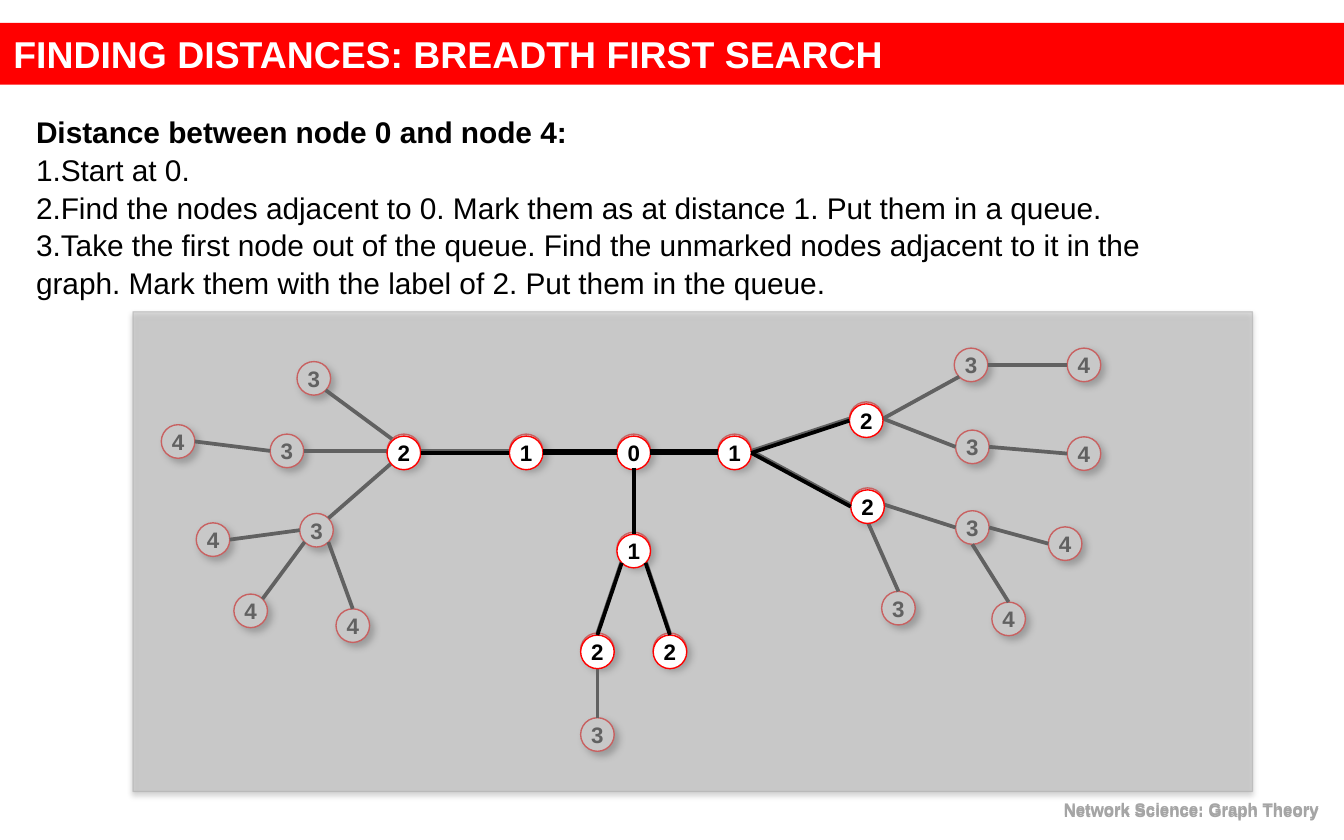
from dataclasses import dataclass
from math import cos, radians, sin

from lxml import etree
from pptx import Presentation
from pptx.dml.color import RGBColor
from pptx.enum.shapes import MSO_CONNECTOR, MSO_SHAPE
from pptx.enum.text import MSO_ANCHOR, PP_ALIGN
from pptx.oxml.ns import qn
from pptx.util import Emu, Inches, Pt

ELLIPSE, RECTANGLE = MSO_SHAPE.OVAL, MSO_SHAPE.RECTANGLE
STRAIGHT = MSO_CONNECTOR.STRAIGHT
LEFT_ALIGN, CENTER, RIGHT_ALIGN = PP_ALIGN.LEFT, PP_ALIGN.CENTER, PP_ALIGN.RIGHT
MIDDLE = MSO_ANCHOR.MIDDLE

RED = RGBColor(0xFF, 0x00, 0x00)
WHITE = RGBColor(0xFF, 0xFF, 0xFF)
BLACK = RGBColor(0x00, 0x00, 0x00)
VEIL_GRAY = RGBColor(0xBF, 0xBF, 0xBF)
MID_GRAY = RGBColor(0xA5, 0xA5, 0xA5)

WIDTH, HEIGHT = Inches(10), Inches(6.25)
COLUMNS, ROWS = 1000, 625
DIAMETER = 25
TOP, TOP_LEFT, LEFT, BOTTOM_LEFT, BOTTOM, BOTTOM_RIGHT, RIGHT, TOP_RIGHT = range(8)


@dataclass(frozen=True)
class Node:
    distance: int
    column: float
    row: float
    parent: str = ""
    parent_site: int = TOP
    own_site: int = TOP


@dataclass(frozen=True)
class Shadow:
    opacity: int
    blur: float
    offset: float
    angle: int


NODE_SHADOW = Shadow(43, 4, 3, 45)
VEIL_SHADOW = Shadow(35, 3.1, 1.8, 90)

TREE = {
    "root": Node(0, 459, 323),
    "east": Node(1, 534, 323, "root", RIGHT, LEFT),
    "west": Node(1, 379, 323, "root", LEFT, RIGHT),
    "south": Node(1, 459, 396, "root", BOTTOM, TOP),
    "east upper": Node(2, 632, 299, "east", RIGHT, LEFT),
    "east lower": Node(2, 633, 363, "east", RIGHT, LEFT),
    "south right": Node(2, 486, 471, "south", BOTTOM_RIGHT, TOP),
    "south left": Node(2, 432, 471, "south", BOTTOM_LEFT, TOP),
    "west hub": Node(2, 288, 323, "west", LEFT, RIGHT),
    "east first": Node(3, 710, 259, "east upper", RIGHT, BOTTOM_LEFT),
    "east second": Node(3, 711, 320, "east upper", RIGHT, LEFT),
    "east third": Node(3, 711, 380, "east lower", RIGHT, LEFT),
    "east fourth": Node(3, 656, 440, "east lower", BOTTOM, TOP),
    "west first": Node(3, 221, 269, "west hub", TOP_LEFT, BOTTOM_RIGHT),
    "west second": Node(3, 201, 323, "west hub", LEFT, RIGHT),
    "west third": Node(3, 223, 382, "west hub", BOTTOM_LEFT, TOP_RIGHT),
    "south end": Node(3, 432, 534, "south left", BOTTOM, TOP),
    "west leaf one": Node(4, 250, 453, "west third", BOTTOM_RIGHT, TOP),
    "west leaf two": Node(4, 174, 442, "west third", BOTTOM_LEFT, TOP_RIGHT),
    "west leaf three": Node(4, 146, 389, "west third", LEFT, RIGHT),
    "west leaf four": Node(4, 120, 316, "west second", LEFT, RIGHT),
    "east leaf one": Node(4, 780, 392, "east third", RIGHT, LEFT),
    "east leaf two": Node(4, 738, 448, "east third", BOTTOM, TOP),
    "east leaf three": Node(4, 794, 325, "east second", RIGHT, LEFT),
    "east leaf four": Node(4, 794, 259, "east first", RIGHT, LEFT),
}

STEPS = [
    "Start at 0.",
    "Find the nodes adjacent to 0. Mark them as at distance 1. Put them in a queue.",
    "Take the first node out of the queue. Find the unmarked nodes adjacent to it in "
    "the graph. Mark them with the label of 2. Put them in the queue.",
]


def place(*cells: float) -> list[Emu]:
    units = (WIDTH / COLUMNS, HEIGHT / ROWS)
    return [Emu(round(cell * units[index % 2])) for index, cell in enumerate(cells)]


def style(para, size: float, color: RGBColor, bold: bool = True, align=LEFT_ALIGN) -> None:
    para.alignment = align
    values = {"name": "Arial", "size": Pt(size), "bold": bold}
    for span in para.runs:
        for name, value in values.items():
            setattr(span.font, name, value)
        span.font.color.rgb = color


def set_margins(frame, horizontal: float, vertical: float) -> None:
    values = {"margin_left": horizontal, "margin_right": horizontal,
              "margin_top": vertical, "margin_bottom": vertical}
    for name, value in values.items():
        setattr(frame, name, Inches(value))


def add_alpha(color_element, percent: int) -> None:
    etree.SubElement(color_element, qn("a:alpha"), val=str(percent * 1000))


def add_shadow(shape, shadow: Shadow) -> None:
    effects = shape._element.spPr.find(qn("a:effectLst"))
    outer = etree.SubElement(
        effects, qn("a:outerShdw"), blurRad=str(Pt(shadow.blur)),
        dist=str(Pt(shadow.offset)), dir=str(shadow.angle * 60000), rotWithShape="0")
    add_alpha(etree.SubElement(outer, qn("a:srgbClr"), val=str(BLACK)), shadow.opacity)


def draw_shape(shapes, kind, cells: tuple, fill: RGBColor, outline: RGBColor):
    shape = shapes.add_shape(kind, *place(*cells))
    shape.shadow.inherit = False
    shape.fill.solid()
    shape.fill.fore_color.rgb = fill
    shape.line.color.rgb = outline
    shape.line.width = Pt(0.75)
    return shape


def draw_label(frame, text: str) -> None:
    set_margins(frame, 0, 0)
    frame.word_wrap = False
    frame.vertical_anchor = MIDDLE
    frame.text = text
    style(frame.paragraphs[0], 12, BLACK, align=CENTER)


def draw_node(shapes, node: Node, drop: float, shadow: bool) -> None:
    circle = draw_shape(shapes, ELLIPSE, (node.column, node.row + drop, DIAMETER, DIAMETER),
                        WHITE, RED)
    if shadow:
        add_shadow(circle, NODE_SHADOW)
    draw_label(circle.text_frame, str(node.distance))


def site_cell(node: Node, site: int, drop: float) -> tuple[float, float]:
    angle, radius = radians(90 + 45 * site), DIAMETER / 2
    return (node.column + radius + radius * cos(angle),
            node.row + drop + radius - radius * sin(angle))


def draw_edge(shapes, node: Node, drop: float) -> None:
    start = site_cell(TREE[node.parent], node.parent_site, drop)
    end = site_cell(node, node.own_site, drop)
    edge = shapes.add_connector(STRAIGHT, *place(*start, *end))
    edge.line.color.rgb = BLACK
    edge.line.width = Pt(2)
    etree.SubElement(edge._element.spPr, qn("a:effectLst"))


def draw_tree(shapes, nodes: list[Node], first_edge: int, drop: float, shadow: bool) -> None:
    for node in nodes:
        draw_node(shapes, node, drop, shadow)
    for node in nodes:
        if node.distance >= first_edge:
            draw_edge(shapes, node, drop)


def draw_title(page) -> None:
    title = page.shapes.title
    title.left, title.top, title.width, title.height = place(0, 17, COLUMNS, 46)
    title.fill.solid()
    title.fill.fore_color.rgb = RED
    title.text_frame.text = "FINDING DISTANCES: BREADTH FIRST SEARCH"
    title.text_frame.vertical_anchor = MIDDLE
    set_margins(title.text_frame, 0.1, 0.05)
    style(title.text_frame.paragraphs[0], 20, WHITE)


def draw_veil(page) -> None:
    veil = draw_shape(page.shapes, RECTANGLE, (99, 232, 833, 357), VEIL_GRAY, MID_GRAY)
    properties = veil._element.spPr
    add_alpha(properties.find(qn("a:solidFill"))[0], 51)
    add_alpha(properties.find(qn("a:ln")).find(qn("a:solidFill"))[0], 48)
    add_shadow(veil, VEIL_SHADOW)


def draw_steps(page) -> None:
    frame = page.shapes.add_textbox(*place(17, 64, 883, 161)).text_frame
    frame.word_wrap = True
    frame.text = "\n".join(["Distance between node 0 and node 4:", *STEPS])
    heading, *steps = frame.paragraphs
    heading.line_spacing = 1.6
    style(heading, 16, BLACK)
    for para in steps:
        para.line_spacing = 1.05
        style(para, 16, BLACK, bold=False)
        properties = para._p.get_or_add_pPr()
        properties.set("marL", "0")
        properties.set("indent", str(-Inches(0.11)))
        etree.SubElement(properties, qn("a:buAutoNum"), type="arabicPeriod")


def draw_footer(page, row: float) -> None:
    frame = page.shapes.add_textbox(*place(708, row, 283, 25)).text_frame
    frame.word_wrap = True
    frame.text = "Network Science: Graph Theory"
    style(frame.paragraphs[0], 9, MID_GRAY, align=RIGHT_ALIGN)


def main() -> None:
    deck = Presentation()
    deck.slide_width, deck.slide_height = WIDTH, HEIGHT
    page = deck.slides.add_slide(deck.slide_layouts[5])
    nodes = list(TREE.values())
    reached = [node for node in nodes if node.distance <= 2]
    neighbors = [node for node in nodes if node.distance == 1]

    draw_title(page)
    draw_tree(page.shapes.add_group_shape().shapes, nodes, 2, 0, True)
    draw_veil(page)
    draw_steps(page)
    for row in (591, 589):
        draw_footer(page, row)
    draw_tree(page.shapes, reached, 1, 1.5, False)
    for node in neighbors:
        draw_edge(page.shapes, node, 0)
    deck.save("out.pptx")


if __name__ == "__main__":
    main()
